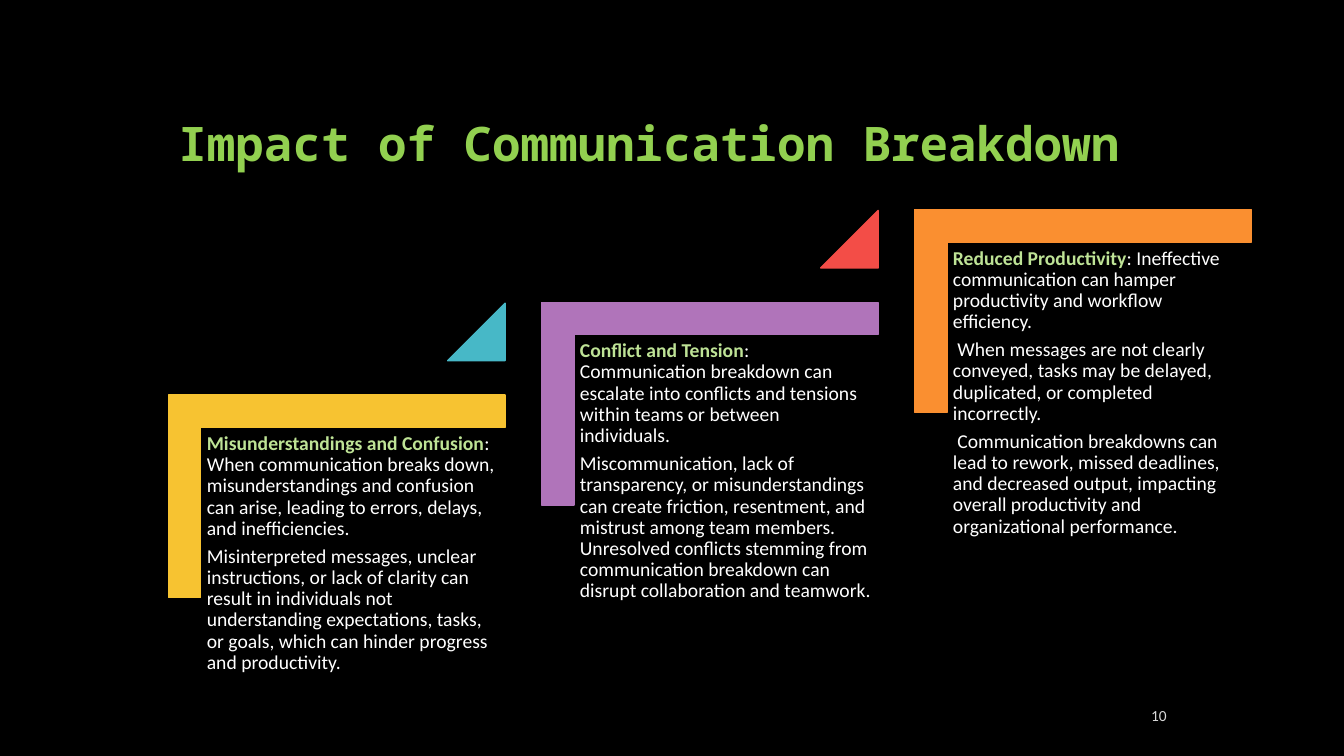
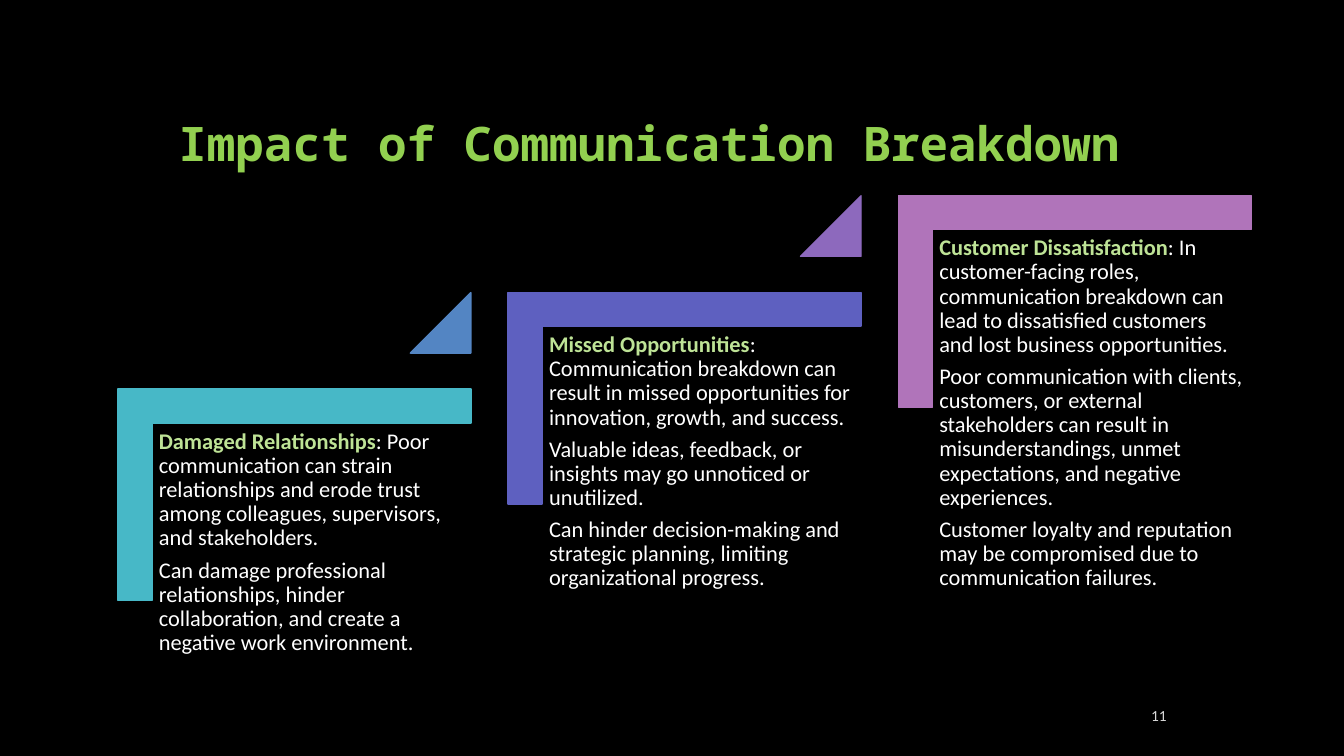
from pptx import Presentation
from pptx.dml.color import RGBColor
from pptx.enum.shapes import MSO_SHAPE
from pptx.enum.text import MSO_ANCHOR, MSO_AUTO_SIZE, PP_ALIGN
from pptx.oxml import parse_xml
from pptx.oxml.ns import nsdecls
from pptx.util import Inches, Pt

CORNER, TRIANGLE = MSO_SHAPE.CORNER, MSO_SHAPE.ISOSCELES_TRIANGLE
TOP, MIDDLE, BOTTOM = MSO_ANCHOR.TOP, MSO_ANCHOR.MIDDLE, MSO_ANCHOR.BOTTOM
LEFT, RIGHT = PP_ALIGN.LEFT, PP_ALIGN.RIGHT
NO_AUTOFIT = MSO_AUTO_SIZE.NONE

BLACK = RGBColor(0x00, 0x00, 0x00)
WHITE = RGBColor(0xFF, 0xFF, 0xFF)
GRAY = RGBColor(0xD9, 0xD9, 0xD9)
GREEN = RGBColor(0x92, 0xD0, 0x50)
LIGHT_GREEN = RGBColor(0xBE, 0xE3, 0x96)
YELLOW = RGBColor(0xF7, 0xC3, 0x31)
TEAL = RGBColor(0x47, 0xB8, 0xC7)
MAUVE = RGBColor(0xB0, 0x74, 0xBA)
RED = RGBColor(0xF3, 0x4D, 0x47)
ORANGE = RGBColor(0xFA, 0x8F, 0x30)
BLUE = RGBColor(0x53, 0x85, 0xC3)
INDIGO = RGBColor(0x5E, 0x60, 0xC0)
VIOLET = RGBColor(0x8D, 0x69, 0xBD)

TITLE = "Impact of Communication Breakdown"
TITLE_FONT, BODY_FONT = "Noto Sans Mono", "Calibri"
FIRST_NUMBER = 10
BAR_RATIO = 0.16  # bar thickness as a share of the corner's height
GAP_RATIO = 0.17  # gap between triangle and corner, same base

# Each step: corner colour, triangle colour, heading, text after it, more paragraphs
STAIRCASES = [
    {
        "left": 1.67, "top": 3.92, "width": 3.34, "height": 2.01,
        "step_right": 3.7, "step_up": 0.92, "triangle": 0.57,
        "text_height": 2.65, "inset": 0.06, "size": 14,
        "steps": [
            (YELLOW, TEAL, "Misunderstandings and Confusion",
             ": When communication breaks down, misunderstandings and confusion can arise, "
             "leading to errors, delays, and inefficiencies.",
             ["Misinterpreted messages, unclear instructions, or lack of clarity can result in "
              "individuals not understanding expectations, tasks, or goals, which can hinder "
              "progress and productivity."]),
            (MAUVE, RED, "Conflict and Tension",
             ": Communication breakdown can escalate into conflicts and tensions within teams "
             "or between individuals.",
             ["Miscommunication, lack of transparency, or misunderstandings can create friction, "
              "resentment, and mistrust among team members. Unresolved conflicts stemming from "
              "communication breakdown can disrupt collaboration and teamwork."]),
            (ORANGE, None, "Reduced Productivity",
             ": Ineffective communication can hamper productivity and workflow efficiency.",
             [" When messages are not clearly conveyed, tasks may be delayed, duplicated, or "
              "completed incorrectly.",
              " Communication breakdowns can lead to rework, missed deadlines, and decreased "
              "output, impacting overall productivity and organizational performance."]),
        ],
    },
    {
        "left": 1.17, "top": 3.86, "width": 3.5, "height": 2.1,
        "step_right": 3.87, "step_up": 0.96, "triangle": 0.6,
        "text_height": 2.77, "inset": 0.07, "size": 16,
        "steps": [
            (TEAL, BLUE, "Damaged Relationships",
             ": Poor communication can strain relationships and erode trust among colleagues, "
             "supervisors, and stakeholders.",
             ["Can damage professional relationships, hinder collaboration, and create a "
              "negative work environment."]),
            (INDIGO, VIOLET, "Missed Opportunities",
             ": Communication breakdown can result in missed opportunities for innovation, "
             "growth, and success.",
             ["Valuable ideas, feedback, or insights may go unnoticed or unutilized.",
              "Can hinder decision-making and strategic planning, limiting organizational "
              "progress."]),
            (MAUVE, None, "Customer Dissatisfaction",
             ": In customer-facing roles, communication breakdown can lead to dissatisfied "
             "customers and lost business opportunities.",
             ["Poor communication with clients, customers, or external stakeholders can result "
              "in misunderstandings, unmet expectations, and negative experiences.",
              "Customer loyalty and reputation may be compromised due to communication "
              "failures."]),
        ],
    },
]


def add_solid(shapes, kind, left, top, width, height, color):
    shape = shapes.add_shape(kind, Inches(left), Inches(top), Inches(width), Inches(height))
    shape.shadow.inherit = False
    shape.fill.solid()
    shape.fill.fore_color.rgb = color
    shape.line.color.rgb = color
    shape.line.width = Pt(1)
    return shape


def add_run(paragraph, text, font_name, size, color, bold=False):
    run = paragraph.add_run()
    run.text = text
    run.font.name = font_name
    run.font.size = Pt(size)
    run.font.color.rgb = color
    run.font.bold = bold


presentation = Presentation()
presentation.slide_width = Inches(13.33)
presentation.slide_height = Inches(7.5)
presentation.element.set("firstSlideNum", str(FIRST_NUMBER))
background = presentation.slide_master.background.fill
background.solid()
background.fore_color.rgb = BLACK
title_only = presentation.slide_layouts[5]

for number, stairs in enumerate(STAIRCASES, FIRST_NUMBER):
    slide = presentation.slides.add_slide(title_only)

    title = slide.shapes.title
    title.left, title.top = Inches(1.67), Inches(0.5)
    title.width, title.height = Inches(10.75), Inches(1.25)
    title.text_frame.auto_size = NO_AUTOFIT
    title.text_frame.vertical_anchor = BOTTOM
    paragraph = title.text_frame.paragraphs[0]
    paragraph.alignment = LEFT
    paragraph.line_spacing = 0.9
    add_run(paragraph, TITLE, TITLE_FONT, 34, GREEN, bold=True)

    width, height, side = stairs["width"], stairs["height"], stairs["triangle"]
    size, inset = stairs["size"], Inches(stairs["inset"])
    bar = BAR_RATIO * height
    shapes = slide.shapes.add_group_shape().shapes
    for index, (color, triangle_color, heading, lead, details) in enumerate(stairs["steps"]):
        left = stairs["left"] + index * stairs["step_right"]
        top = stairs["top"] - index * stairs["step_up"]

        # The corner is turned a quarter, so its own box is upright around the same centre
        shift = (width - height) / 2
        corner = add_solid(shapes, CORNER, left + shift, top - shift, height, width, color)
        corner.rotation = 90
        corner.adjustments[0] = BAR_RATIO
        corner.adjustments[1] = BAR_RATIO

        box = shapes.add_textbox(Inches(left + bar), Inches(top + bar),
                                 Inches(width - bar), Inches(stairs["text_height"]))
        frame = box.text_frame
        frame.word_wrap = True
        frame.vertical_anchor = TOP
        frame.margin_left = frame.margin_top = frame.margin_right = frame.margin_bottom = inset
        paragraph = frame.paragraphs[0]
        add_run(paragraph, heading, BODY_FONT, size, LIGHT_GREEN, bold=True)
        add_run(paragraph, lead, BODY_FONT, size, WHITE)
        for detail in details:
            add_run(frame.add_paragraph(), detail, BODY_FONT, size, WHITE)
        for paragraph in frame.paragraphs:
            paragraph.line_spacing = 0.9
            paragraph.space_after = Pt(0.35 * size)

        if triangle_color is not None:
            triangle = add_solid(shapes, TRIANGLE, left + width - side,
                                 top - GAP_RATIO * height - side, side, side, triangle_color)
            triangle.adjustments[0] = 1

    number_box = slide.shapes.add_textbox(Inches(10.75), Inches(6.96), Inches(0.92), Inches(0.28))
    number_box.text_frame.word_wrap = True
    number_box.text_frame.vertical_anchor = MIDDLE
    paragraph = number_box.text_frame.paragraphs[0]
    paragraph.alignment = RIGHT
    paragraph._p.append(parse_xml(
        f'<a:fld {nsdecls("a")} id="{{B6F15528-21DE-4FAA-801E-634DDDAF4B2B}}" type="slidenum">'
        f'<a:rPr lang="en-US" sz="1100"><a:solidFill><a:srgbClr val="{GRAY}"/></a:solidFill>'
        f'<a:latin typeface="{BODY_FONT}"/></a:rPr><a:t>{number}</a:t></a:fld>'))

presentation.save("out.pptx")
